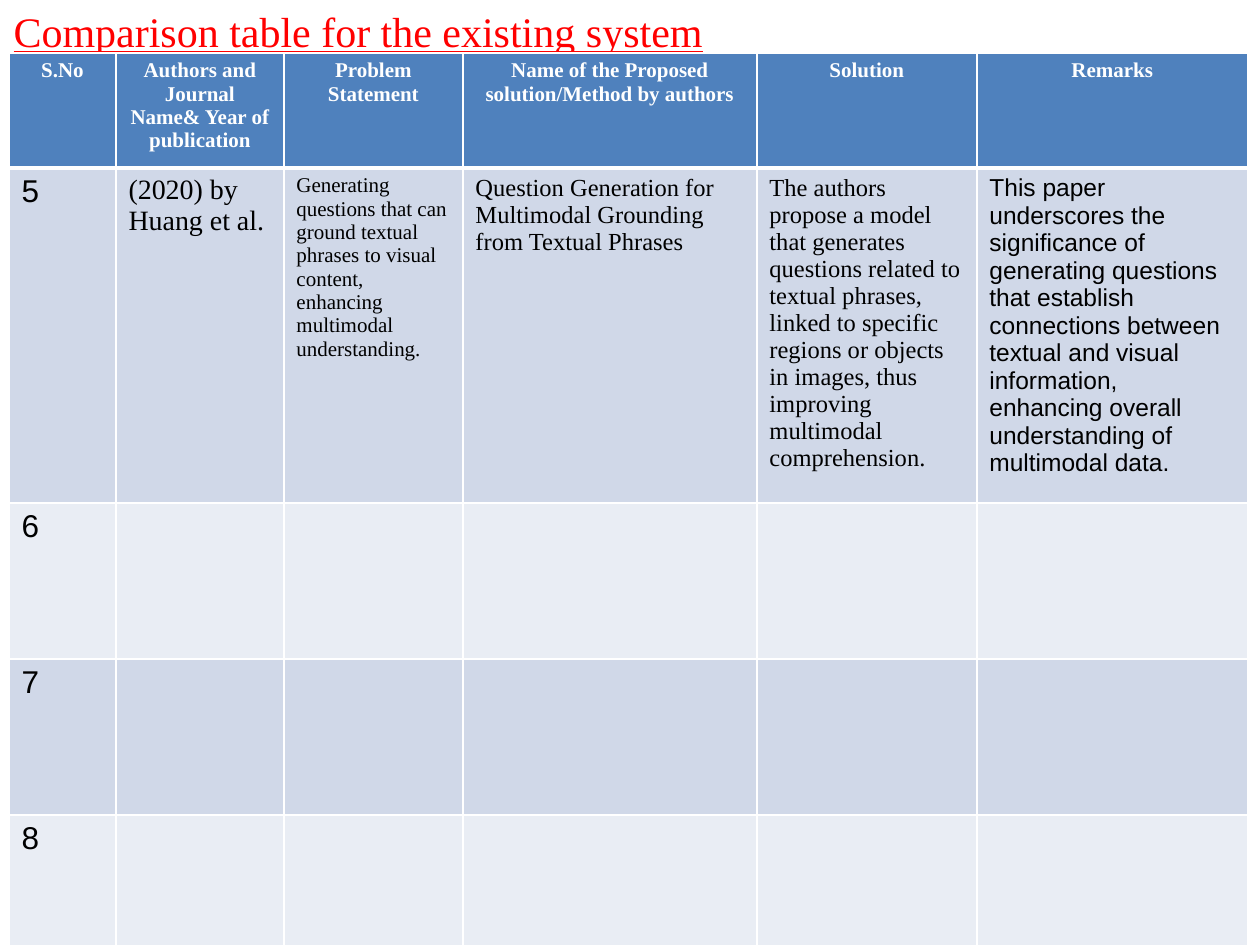
from lxml.etree import SubElement
from pptx import Presentation
from pptx.dml.color import RGBColor
from pptx.enum.text import MSO_ANCHOR, PP_ALIGN
from pptx.oxml.ns import qn
from pptx.util import Pt

SERIF, SANS = "Times New Roman", "Arial"
BLACK, WHITE, RED = "000000", "FFFFFF", "FF0000"
HEADER_FILL, BAND_FILLS = "4F81BD", ("D0D8E8", "E9EDF4")

TITLE = "Comparison table for the existing system"
HEADINGS = (
    "S.No",
    "Authors and Journal Name& Year of publication",
    "Problem Statement",
    "Name of the Proposed solution/Method by authors",
    "Solution",
    "Remarks",
)
# Each entry: wording, size, font
STUDIES = (
    (
        ("5", 18, SANS),
        ("(2020) by Huang et al.", 16, SERIF),
        ("Generating questions that can ground textual phrases to visual "
         "content, enhancing multimodal understanding.", 12, SERIF),
        ("Question Generation for Multimodal Grounding from Textual Phrases",
         14, SERIF),
        ("The authors propose a model that generates questions related to "
         "textual phrases, linked to specific regions or objects in images, "
         "thus improving multimodal comprehension.", 14, SERIF),
        ("This paper underscores the significance of generating questions "
         "that establish connections between textual and visual information, "
         "enhancing overall understanding of multimodal data.", 14, SANS),
    ),
    (("6", 18, SANS),),
    (("7", 18, SANS),),
    (("8", 18, SANS),),
)
COLUMN_WIDTHS = (107, 168, 179, 294, 220, 271)
ROW_HEIGHTS = (115, 335, 156, 156, 156)
TABLE_LEFT, TABLE_TOP = 9, 53


def px(length):
    """Turn picture pixels into EMU."""
    return round(length * 914400 / 126)


def colour(value):
    """Turn a hex string into a colour."""
    return RGBColor.from_string(value)


def write(frame, wording, size, font, ink, bold=False, align=PP_ALIGN.LEFT):
    """Add one formatted run to the first paragraph and return it."""
    paragraph = frame.paragraphs[0]
    paragraph.alignment = align
    run = paragraph.add_run()
    run.text = wording
    run.font.size, run.font.name, run.font.bold = Pt(size), font, bold
    run.font.color.rgb = colour(ink)
    return run


def style_cell(cell, fill, top=1, bottom=1):
    """Give a cell white borders and a solid fill."""
    properties = cell._tc.get_or_add_tcPr()
    for side, points in (("L", 1), ("R", 1), ("T", top), ("B", bottom)):
        line = SubElement(properties, qn(f"a:ln{side}"), w=str(Pt(points)))
        SubElement(SubElement(line, qn("a:solidFill")), qn("a:srgbClr"), val=WHITE)
    cell.fill.solid()
    cell.fill.fore_color.rgb = colour(fill)


presentation = Presentation()
presentation.slide_width, presentation.slide_height = px(1260), px(945)
slide = presentation.slides.add_slide(presentation.slide_layouts[5])

title = slide.shapes.title
title.left, title.top, title.width, title.height = px(1), px(-1), px(1239), px(63)
title.text_frame.word_wrap = True
title.text_frame.vertical_anchor = MSO_ANCHOR.TOP
write(title.text_frame, TITLE, 24, SERIF, RED).font.underline = True

comparison = slide.shapes.add_table(
    len(ROW_HEIGHTS), len(COLUMN_WIDTHS), px(TABLE_LEFT), px(TABLE_TOP),
    px(sum(COLUMN_WIDTHS)), px(sum(ROW_HEIGHTS))).table
for column, width in zip(comparison.columns, COLUMN_WIDTHS):
    column.width = px(width)
for row, height in zip(comparison.rows, ROW_HEIGHTS):
    row.height = px(height)

for index, heading in enumerate(HEADINGS):
    cell = comparison.cell(0, index)
    style_cell(cell, HEADER_FILL, bottom=3)
    write(cell.text_frame, heading, 12, SERIF, WHITE, True, PP_ALIGN.CENTER)

for number, study in enumerate(STUDIES):
    cells = comparison.rows[number + 1].cells
    for cell in cells:
        style_cell(cell, BAND_FILLS[number % 2], top=1 if number else 3)
    for cell, (wording, size, font) in zip(cells, study):
        write(cell.text_frame, wording, size, font, BLACK)

presentation.save("out.pptx")
